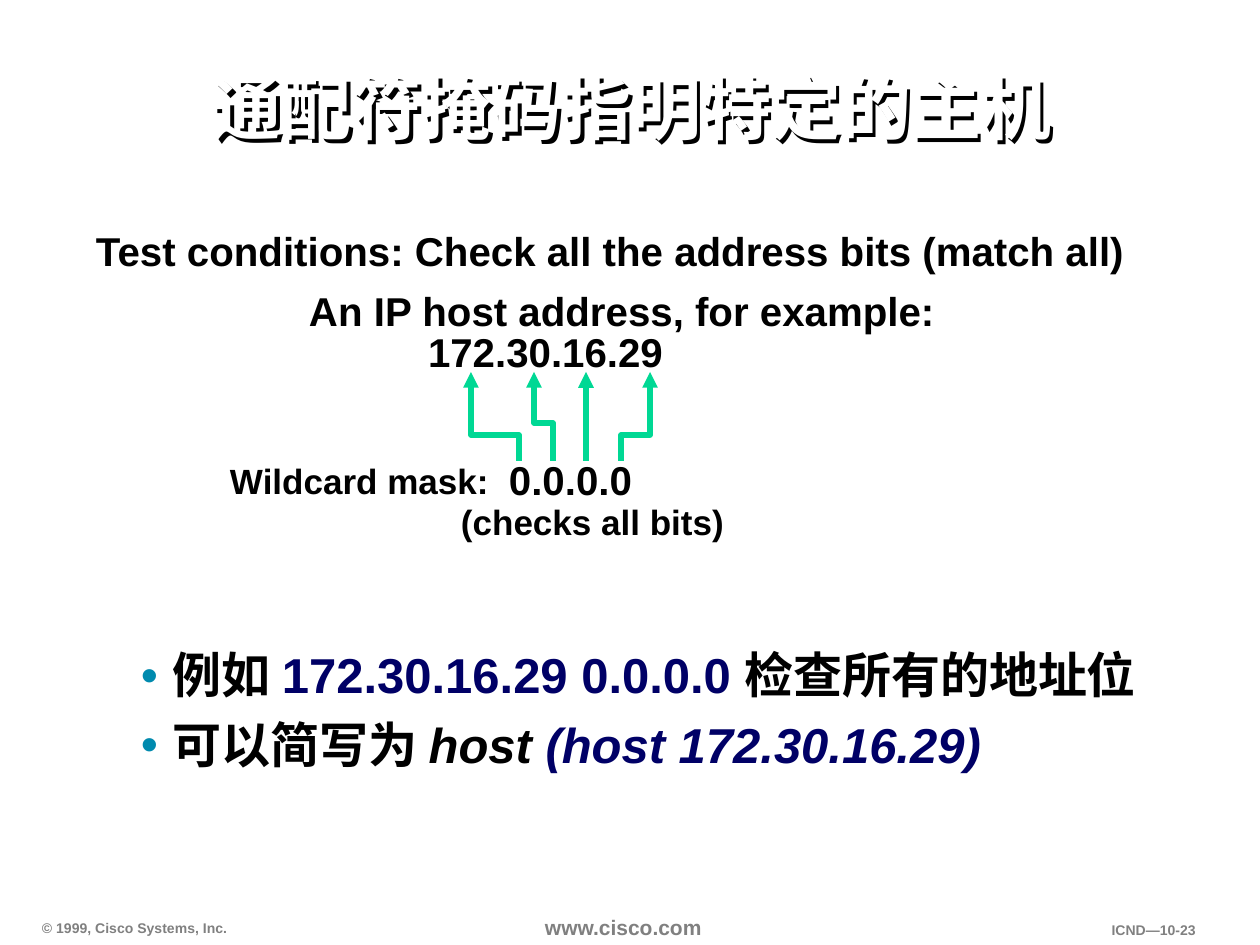
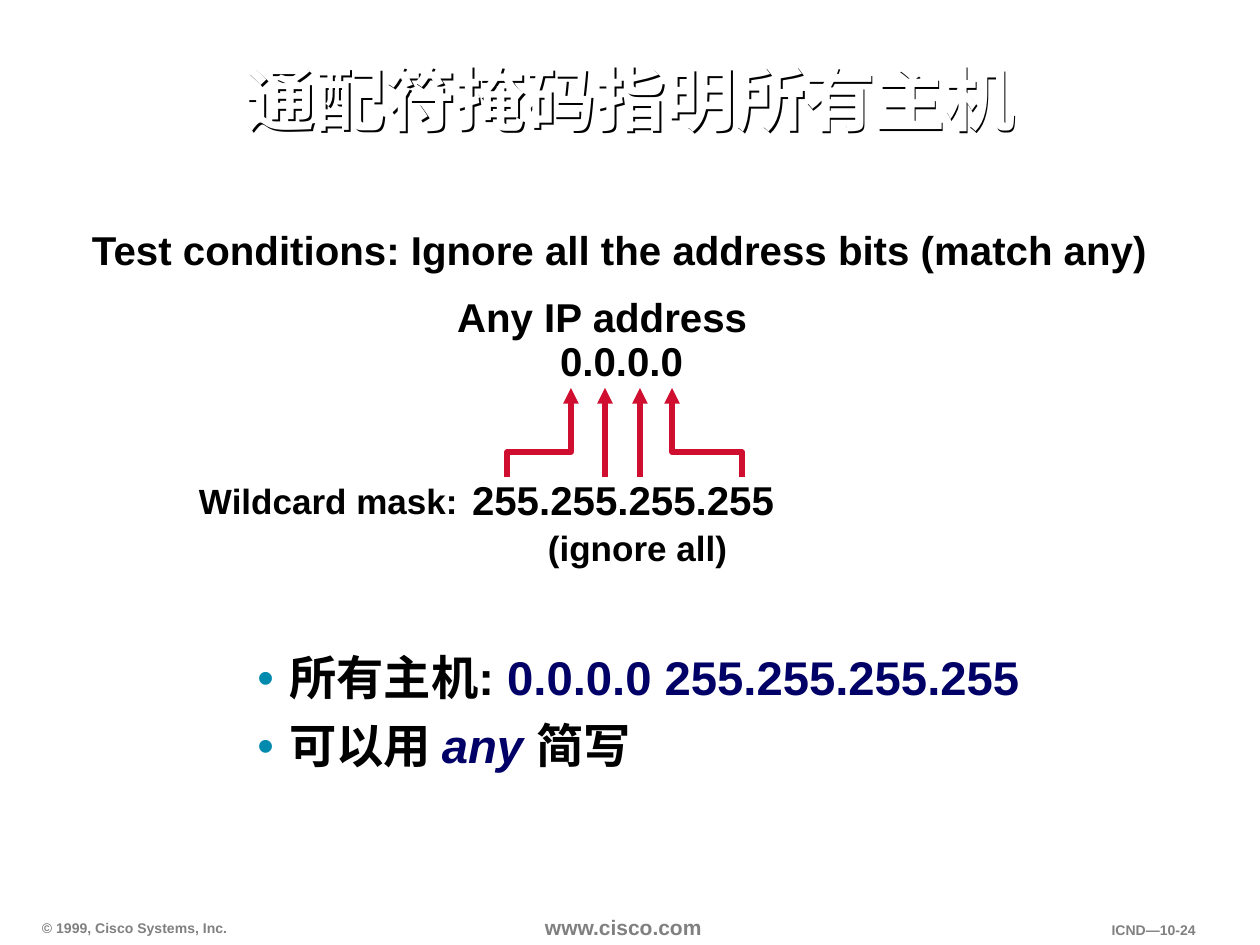
from lxml import etree
from pptx import Presentation
from pptx.dml.color import RGBColor
from pptx.enum.shapes import MSO_CONNECTOR
from pptx.enum.text import MSO_ANCHOR, MSO_AUTO_SIZE, PP_ALIGN
from pptx.oxml.ns import qn
from pptx.util import Emu, Pt

PX = 914400 / 126
FONT = "Arial"
COLORS = {
    "title": "FFFFFF",
    "shadow": "000000",
    "text": "000000",
    "code": "000066",
    "bullet": "008AAE",
    "footer": "808080",
    "match": "00D894",
    "ignore": "CF0E30",
}
LEFT, CENTER, RIGHT = PP_ALIGN.LEFT, PP_ALIGN.CENTER, PP_ALIGN.RIGHT
TOP, MIDDLE, BOTTOM = MSO_ANCHOR.TOP, MSO_ANCHOR.MIDDLE, MSO_ANCHOR.BOTTOM
NO_AUTOFIT = MSO_AUTO_SIZE.NONE
STRAIGHT = MSO_CONNECTOR.STRAIGHT
WIDE_INSETS, NARROW_INSETS = (11, 5), (5, 8)


def px(length):
    return Emu(round(length * PX))


def place(shape, box):
    shape.left, shape.top, shape.width, shape.height = map(px, box)


def prepare_frame(shape, insets, anchor=TOP, wrap=True):
    frame = shape.text_frame
    frame.auto_size = NO_AUTOFIT
    frame.word_wrap = wrap
    frame.vertical_anchor = anchor
    frame.margin_left = frame.margin_right = px(insets[0])
    frame.margin_top = frame.margin_bottom = px(insets[1])
    return frame


def add_run(paragraph, text, size, color, italic=False):
    run = paragraph.add_run()
    run.text = text
    run.font.name = FONT
    run.font.size = Pt(size)
    run.font.bold = True
    run.font.italic = italic
    run.font.color.rgb = RGBColor.from_string(COLORS[color])


def add_label(slide, box, text, size, color="text", spacing=None,
              insets=NARROW_INSETS, anchor=TOP, align=LEFT, wrap=False):
    label = slide.shapes.add_textbox(*map(px, box))
    paragraph = prepare_frame(label, insets, anchor, wrap).paragraphs[0]
    paragraph.alignment = align
    if spacing:
        paragraph.line_spacing = Pt(spacing)
    add_run(paragraph, text, size, color)


def cast_shadow(shape, distance):
    """Give an unfilled shape a hard shadow, which falls from its text."""
    shape.fill.background()
    effects = etree.SubElement(shape._element.spPr, qn("a:effectLst"))
    shadow = etree.SubElement(effects, qn("a:outerShdw"), dist=str(Pt(distance)),
                              dir="2700000", algn="ctr", rotWithShape="0")
    etree.SubElement(shadow, qn("a:srgbClr"), val=COLORS["shadow"])


def set_title(slide, box, text, shadow_distance):
    title = slide.shapes.title
    place(title, box)
    cast_shadow(title, shadow_distance)
    paragraph = prepare_frame(title, WIDE_INSETS, MIDDLE).paragraphs[0]
    paragraph.alignment = CENTER
    paragraph.line_spacing = 0.9
    add_run(paragraph, text, 40, "title")


def add_bullet(paragraph):
    properties = paragraph._p.get_or_add_pPr()
    properties.set("marL", str(px(48)))
    properties.set("indent", str(px(-32)))
    color = etree.SubElement(properties, qn("a:buClr"))
    etree.SubElement(color, qn("a:srgbClr"), val=COLORS["bullet"])
    etree.SubElement(properties, qn("a:buChar"), char="•")


def set_bullets(slide, top, size, items):
    """Fill the body, centred as a block; each item lists (text, color, italic)."""
    body = slide.placeholders[1]
    place(body, (64, top, 1133, 277))
    frame = prepare_frame(body, WIDE_INSETS, MIDDLE)
    frame._txBody.bodyPr.set("anchorCtr", "1")
    for index, runs in enumerate(items):
        paragraph = frame.add_paragraph() if index else frame.paragraphs[0]
        paragraph.level = 1
        add_bullet(paragraph)
        paragraph.alignment = LEFT
        paragraph.line_spacing = 0.95
        paragraph.space_before = Pt(8 if index else 0)
        for text, color, italic in runs:
            add_run(paragraph, text, size, color, italic)


def add_arrow(slide, mask_x, address_x, bottom, bend, tip, color):
    """Draw an arrow up from a mask part to its address part."""
    if mask_x == address_x:
        arrow = slide.shapes.add_connector(
            STRAIGHT, px(mask_x), px(bottom), px(address_x), px(tip))
        etree.SubElement(arrow._element.spPr, qn("a:effectLst"))
    else:
        builder = slide.shapes.build_freeform(mask_x, bottom, scale=PX)
        builder.add_line_segments(
            [(mask_x, bend), (address_x, bend), (address_x, tip)], close=False)
        arrow = builder.convert_to_shape()
        arrow.fill.background()
        arrow.shadow.inherit = False
    arrow.line.color.rgb = RGBColor.from_string(COLORS[color])
    arrow.line.width = Pt(3)
    etree.SubElement(arrow.line._get_or_add_ln(), qn("a:tailEnd"), type="triangle")


def add_footers(slide, page):
    add_label(slide, (31, 913, 213, 28), "© 1999, Cisco Systems, Inc.", 8,
              "footer", insets=WIDE_INSETS, anchor=BOTTOM)
    add_label(slide, (535, 910, 190, 35), "www.cisco.com", 12,
              "footer", insets=(10, 5), wrap=True)
    add_label(slide, (1099, 917, 108, 28), f"ICND—10-{page}", 8,
              "footer", insets=WIDE_INSETS, align=RIGHT)


def add_mask_slide(presentation, page, title_box, title, shadow_distance):
    slide = presentation.slides.add_slide(presentation.slide_layouts[1])
    add_footers(slide, page)
    set_title(slide, title_box, title, shadow_distance)
    return slide


def add_host_slide(presentation):
    slide = add_mask_slide(presentation, 23, (106, 33, 1051, 158),
                           "通配符掩码指明特定的主机", 2.8)
    set_bullets(slide, 573, 28, [
        [("例如 ", "text", False),
         ("172.30.16.29 0.0.0.0", "code", False),
         (" 检查所有的地址位", "text", False)],
        [("可以简写为 ", "text", False),
         ("host ", "text", True),
         ("(host 172.30.16.29)", "code", True)],
    ])
    for box, text, size, spacing in (
        ((91, 219, 1079, 71),
         "Test conditions: Check all the address bits (match all)", 23, 27),
        ((304, 279, 713, 71), "An IP host address, for example:", 23, 27),
        ((423, 320, 283, 44), "172.30.16.29", 23, 27),
        ((504, 448, 192, 71), "0.0.0.0", 23, 27),
        ((456, 487, 309, 45), "(checks all bits)", 20, 27),
        ((225, 452, 330, 66), "Wildcard mask:", 20, 23.6),
    ):
        add_label(slide, box, text, size, spacing=spacing)
    for mask_x, address_x, bend in (
            (519, 471, 435), (553, 534, 423), (586, 586, 435), (621, 650, 435)):
        add_arrow(slide, mask_x, address_x, 461, bend, 372, "match")


def add_any_slide(presentation):
    slide = add_mask_slide(presentation, 24, (224, 24, 813, 158),
                           "通配符掩码指明所有主机", 1.4)
    set_bullets(slide, 575, 27, [
        [("所有主机: ", "text", False),
         ("0.0.0.0 255.255.255.255", "code", False)],
        [("可以用 ", "text", False),
         ("any ", "code", True),
         ("简写", "text", False)],
    ])
    for box, text, size, spacing in (
        ((87, 218, 1071, 71),
         "Test conditions: Ignore all the address bits (match any)", 23, 27),
        ((452, 285, 420, 71), "Any IP address", 23, 27),
        ((555, 329, 284, 71), "0.0.0.0", 23, 27),
        ((467, 468, 336, 71), "255.255.255.255", 23, 27),
        ((543, 513, 305, 45), "(ignore all)", 20, 27),
        ((194, 472, 330, 66), "Wildcard mask:", 20, 23.6),
    ):
        add_label(slide, box, text, size, spacing=spacing)
    for mask_x, address_x in ((507, 571), (605, 605), (640, 640), (742, 672)):
        add_arrow(slide, mask_x, address_x, 477, 452, 388, "ignore")


def main():
    presentation = Presentation()
    presentation.slide_width, presentation.slide_height = px(1260), px(945)
    add_host_slide(presentation)
    add_any_slide(presentation)
    presentation.save("out.pptx")


if __name__ == "__main__":
    main()
